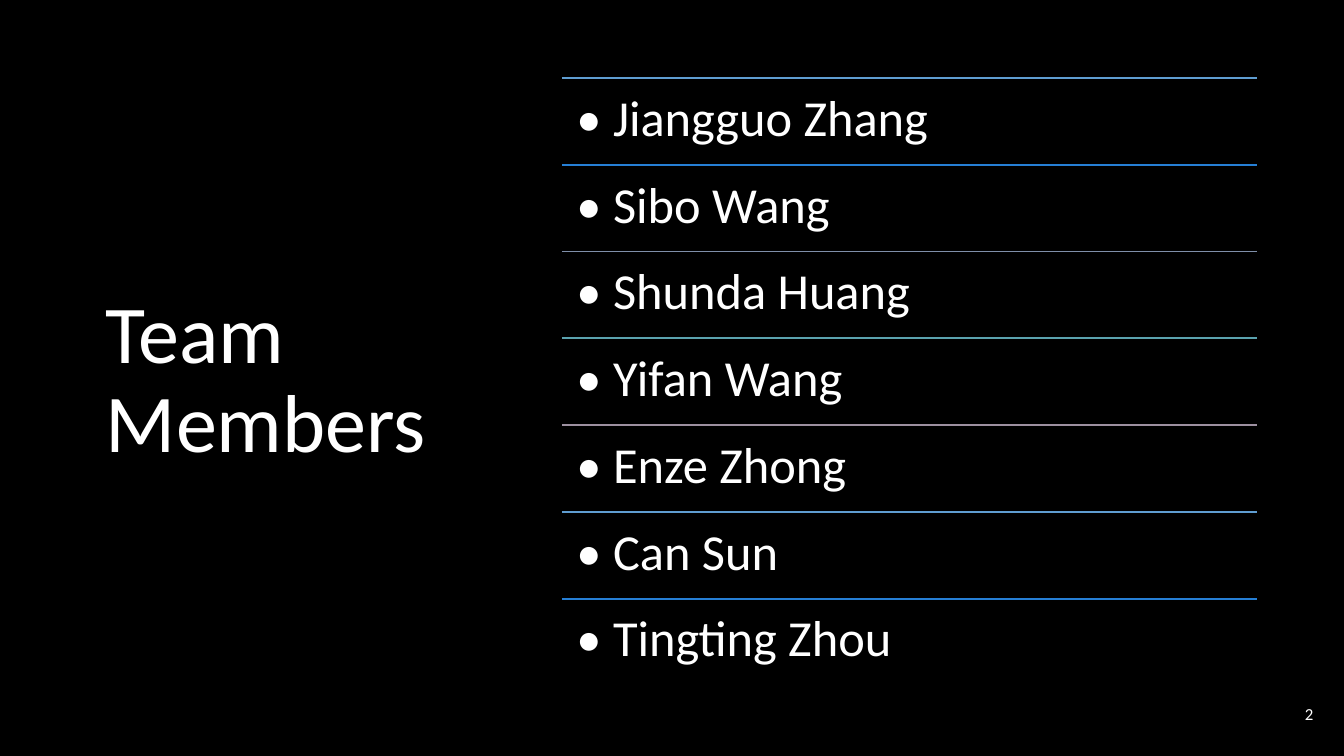
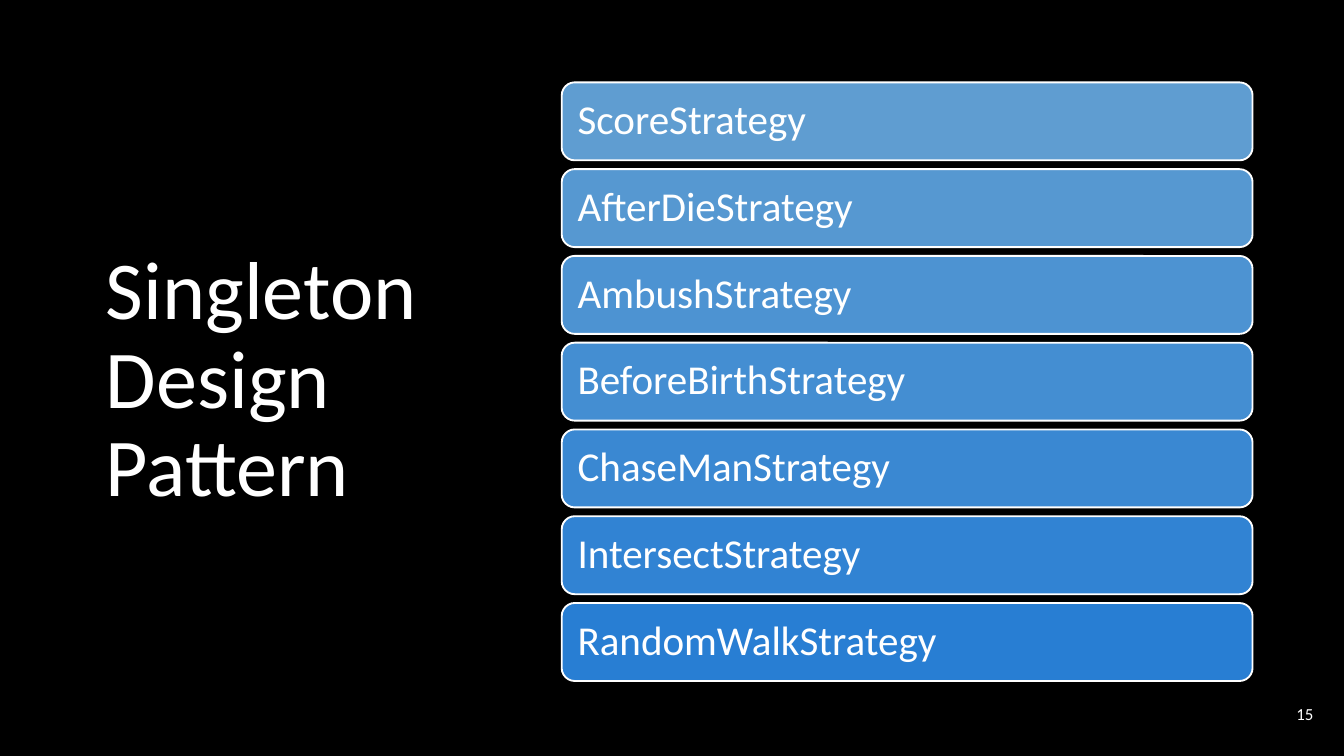
"""Build two dark slides: a ruled list of team members and a stack of strategy bars."""
from lxml import etree
from pptx import Presentation
from pptx import util as u
from pptx.dml.color import RGBColor
from pptx.enum import shapes, text
from pptx.oxml.ns import qn

WIDTH = 10
HEIGHT = WIDTH * 9 / 16
FONT = "Calibri"
COLOURS = {
    "background": "000000",
    "text": "FFFFFF",
    "sky": "5F9DD1",
    "blue": "267FD5",
    "slate": "7F8FA9",
    "teal": "5AA2AE",
    "mauve": "9D90A0",
    "last_bar": "287ED3",
}
RULE_CYCLE = ["sky", "blue", "slate", "teal", "mauve"]

# The content area shared by the title column and the list column
TOP, AREA_HEIGHT = 0.58, 4.52
TITLE_LEFT, TITLE_WIDTH = 0.69, 2.77
LIST_LEFT, LIST_WIDTH = 4.18, 5.17
BAR_WIDTH, BAR_HEIGHT = 5.14, 0.58

MEMBERS = ["Jiangguo Zhang", "Sibo Wang", "Shunda Huang", "Yifan Wang",
           "Enze Zhong", "Can Sun", "Tingting Zhou"]
STRATEGIES = ["ScoreStrategy", "AfterDieStrategy", "AmbushStrategy",
              "BeforeBirthStrategy", "ChaseManStrategy", "IntersectStrategy",
              "RandomWalkStrategy"]


def colour(name):
    """Return the named colour."""
    return RGBColor.from_string(COLOURS[name])


def blend(first, last, share):
    """Return the colour that lies the given share of the way between two."""
    return RGBColor(*(round(a + (b - a) * share)
                      for a, b in zip(colour(first), colour(last))))


def write(shape, words, size, insets, anchor=text.MSO_ANCHOR.MIDDLE,
          align=text.PP_ALIGN.LEFT, spacing=0.9):
    """Write one paragraph into a shape; insets are horizontal and vertical."""
    frame = shape.text_frame
    frame.word_wrap = True
    frame.vertical_anchor = anchor
    frame.margin_left = frame.margin_right = u.Inches(insets[0])
    frame.margin_top = frame.margin_bottom = u.Inches(insets[1])
    paragraph = frame.paragraphs[0]
    paragraph.alignment = align
    paragraph.line_spacing = spacing
    run = paragraph.add_run()
    run.text = words
    run.font.name = FONT
    run.font.size = u.Pt(size)
    run.font.color.rgb = colour("text")


def add_label(slide, box, *args, **options):
    """Add a text box at left, top, width, height and write into it."""
    write(slide.shapes.add_textbox(*map(u.Inches, box)), *args, **options)


def add_rule(slide, top, name):
    """Draw a thin horizontal rule across the list column."""
    rule = slide.shapes.add_connector(
        shapes.MSO_CONNECTOR.STRAIGHT, u.Inches(LIST_LEFT), u.Inches(top),
        u.Inches(LIST_LEFT + LIST_WIDTH), u.Inches(top))
    rule.line.color.rgb = colour(name)
    rule.line.width = u.Pt(1)
    etree.SubElement(rule._element.spPr, qn("a:effectLst"))


def add_bar(slide, top, words, fill):
    """Draw a rounded, outlined bar with its label."""
    bar = slide.shapes.add_shape(
        shapes.MSO_SHAPE.ROUNDED_RECTANGLE,
        *map(u.Inches, (LIST_LEFT, top, BAR_WIDTH, BAR_HEIGHT)))
    bar.shadow.inherit = False
    bar.adjustments[0] = 0.167
    bar.fill.solid()
    bar.fill.fore_color.rgb = fill
    bar.line.color.rgb = colour("text")
    bar.line.width = u.Pt(1)
    write(bar, words, 22, (0.09, 0.09))


def add_base_slide(presentation, title, number):
    """Add a dark slide with its title on the left and its page number."""
    slide = presentation.slides.add_slide(presentation.slide_layouts[6])
    slide.background.fill.solid()
    slide.background.fill.fore_color.rgb = colour("background")
    add_label(slide, (TITLE_LEFT, TOP, TITLE_WIDTH, AREA_HEIGHT),
              title, 44, (0.1, 0.05))
    add_label(slide, (9.27, 5.1, 0.6, 0.43), str(number), 9, (0.1, 0.1),
              align=text.PP_ALIGN.RIGHT, spacing=1.0)
    return slide


def add_ruled_list(slide, items):
    """Fill the list column with equal rows, each under a coloured rule."""
    row = AREA_HEIGHT / len(items)
    for index, item in enumerate(items):
        top = TOP + index * row
        add_rule(slide, top, RULE_CYCLE[index % len(RULE_CYCLE)])
        add_label(slide, (LIST_LEFT, top, LIST_WIDTH, row), f"• {item}", 27,
                  (0.11, 0.11), anchor=text.MSO_ANCHOR.TOP)


def add_bar_stack(slide, items):
    """Centre one bar in each equal row, shading from first to last."""
    row = AREA_HEIGHT / len(items)
    for index, item in enumerate(items):
        top = TOP + index * row + (row - BAR_HEIGHT) / 2
        fill = blend("sky", "last_bar", index / (len(items) - 1))
        add_bar(slide, top, item, fill)


def main():
    """Build both slides and save the presentation."""
    presentation = Presentation()
    presentation.slide_width = u.Inches(WIDTH)
    presentation.slide_height = u.Inches(HEIGHT)
    add_ruled_list(add_base_slide(presentation, "Team Members", 2), MEMBERS)
    add_bar_stack(add_base_slide(presentation, "Singleton Design Pattern", 15),
                  STRATEGIES)
    presentation.save("out.pptx")


main()
